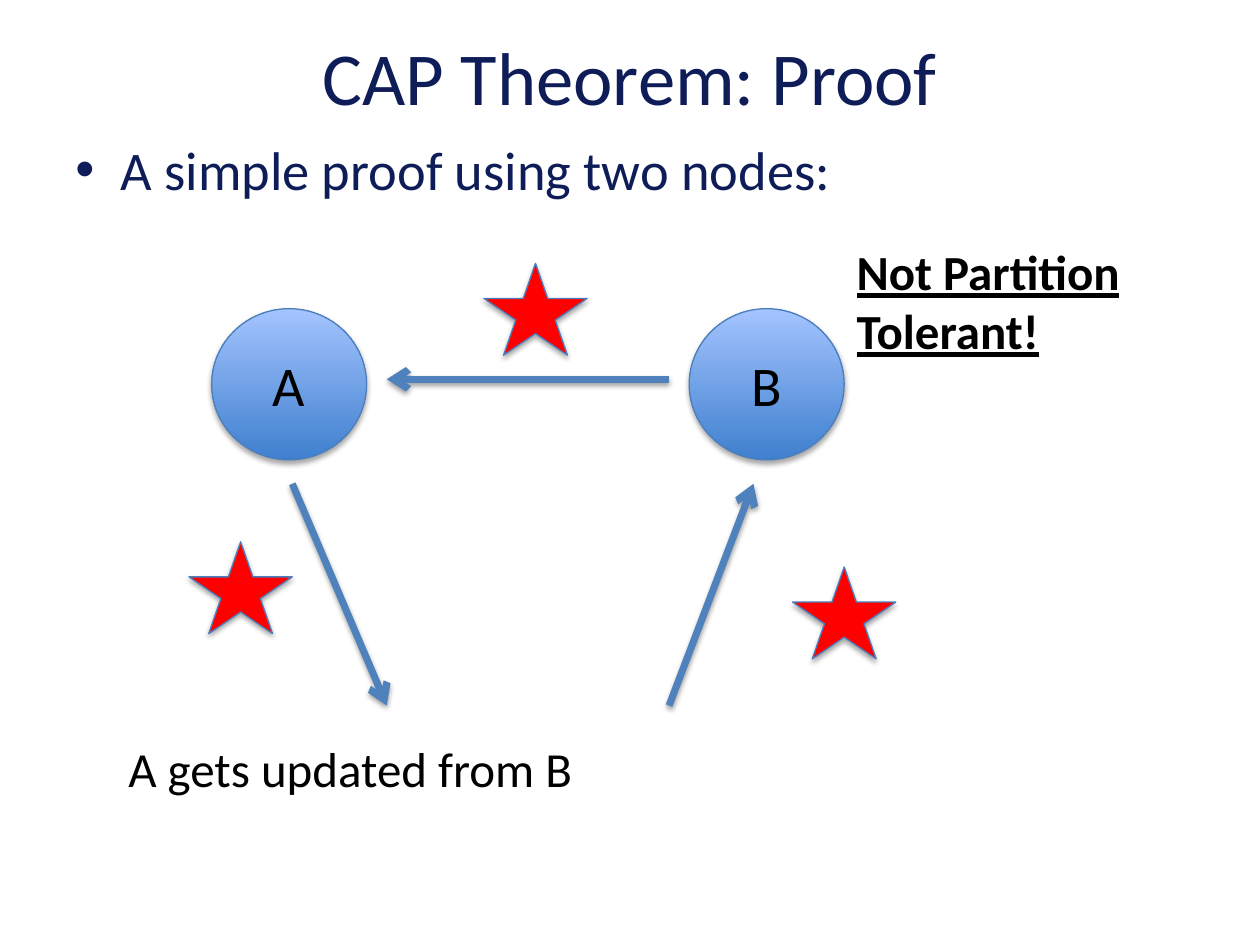
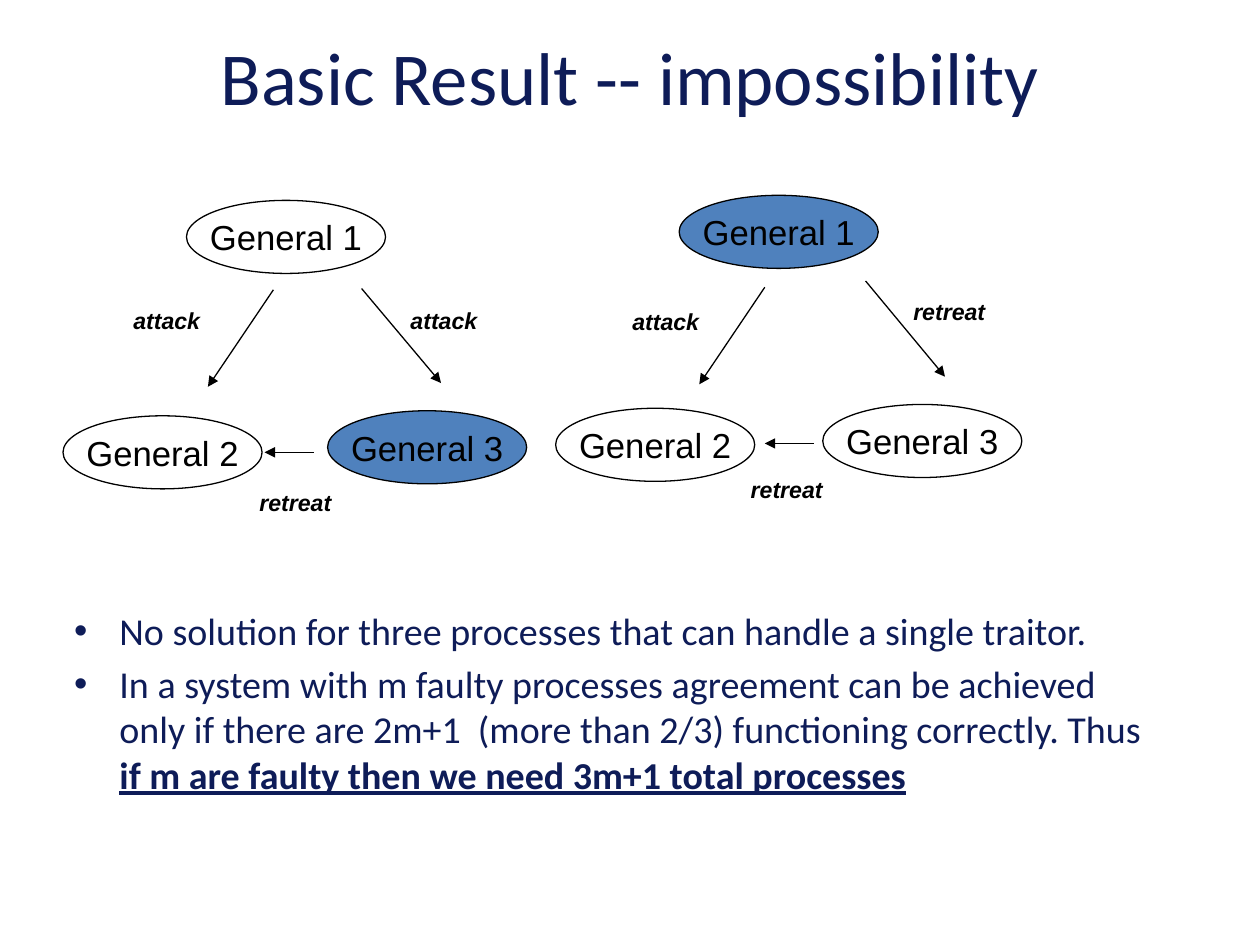
from lxml import etree
from pptx import Presentation
from pptx.dml.color import RGBColor
from pptx.enum.shapes import MSO_CONNECTOR as CONN, MSO_SHAPE as SHAPE
from pptx.enum.text import MSO_ANCHOR as ANCHOR, PP_ALIGN as ALIGN
from pptx.oxml.ns import qn
from pptx.util import Inches, Pt

COLORS = {
    "navy": "0E1C58",
    "black": "000000",
    "blue": "4F81BD",
    "outline": "4B7EBC",
    "node_low": "3F80CE",
    "node_high": "A4C4FF",
    "red": "FF0000",
}
HEAD_FONT, LABEL_FONT = "Calibri", "Arial"


def rgb(name):
    return RGBColor.from_string(COLORS[name])


def add_effects(sp, opacity=None, dist=1.8):
    """Replace the theme's effects by a downward shadow, or by none."""
    effects = etree.SubElement(sp._element.spPr, qn("a:effectLst"))
    if opacity is None:
        return
    shadow = etree.SubElement(effects, qn("a:outerShdw"), blurRad=str(Pt(3.1)),
                              dist=str(Pt(dist)), dir="5400000", rotWithShape="0")
    color = etree.SubElement(shadow, qn("a:srgbClr"), val=COLORS["black"])
    etree.SubElement(color, qn("a:alpha"), val=str(opacity * 1000))


class Deck:
    def __init__(self):
        self.prs = Presentation()
        self.prs.slide_width, self.prs.slide_height = Inches(10), Inches(7.5)
        self.s = None

    def slide(self, title):
        self.s = self.prs.slides.add_slide(self.prs.slide_layouts[6])
        tf = self.text((0.5, 0.17, 9, 0.86), title, 42.7, "navy")
        tf.vertical_anchor = ANCHOR.MIDDLE
        tf.paragraphs[0].alignment = ALIGN.CENTER

    def style(self, p, size, color="black", font=HEAD_FONT, **flags):
        p.font.size, p.font.name = Pt(size), font
        p.font.color.rgb = rgb(color)
        for flag, value in flags.items():
            setattr(p.font, flag, value)

    def text(self, box, text, size, color="black", font=HEAD_FONT, **flags):
        tf = self.s.shapes.add_textbox(*map(Inches, box)).text_frame
        tf.word_wrap = True
        tf.text = text
        self.style(tf.paragraphs[0], size, color, font, **flags)
        return tf

    def bullets(self, box, items, size):
        """Each item is a pair: plain text and an emphasised ending."""
        tf = self.s.shapes.add_textbox(*map(Inches, box)).text_frame
        tf.word_wrap = True
        for i, (plain, strong) in enumerate(items):
            p = tf.add_paragraph() if i else tf.paragraphs[0]
            self.style(p, size, "navy")
            p.space_before = Pt(0.2 * size)
            pPr = p._p.get_or_add_pPr()
            pPr.set("marL", str(Inches(0.36)))
            pPr.set("indent", str(Inches(-0.36)))
            bullet_font = etree.Element(qn("a:buFont"), typeface="Arial")
            bullet = etree.Element(qn("a:buChar"), char="•")
            pPr.find(qn("a:defRPr")).addprevious(bullet_font)
            bullet_font.addnext(bullet)
            p.add_run().text = plain
            if strong:
                r = p.add_run()
                r.text = strong
                r.font.bold = r.font.underline = True

    def shape(self, kind, box, fill=None, line="outline"):
        sp = self.s.shapes.add_shape(kind, *map(Inches, box))
        if fill == "gradient":
            sp.fill.gradient()
            sp.fill.gradient_angle = 90
            for stop, color in zip(sp.fill.gradient_stops, ("node_low", "node_high")):
                stop.color.rgb = rgb(color)
        elif fill:
            sp.fill.solid()
            sp.fill.fore_color.rgb = rgb(fill)
        else:
            sp.fill.background()
        sp.line.color.rgb = rgb(line)
        sp.line.width = Pt(0.75)
        return sp

    def caption(self, sp, text, size, font=HEAD_FONT):
        tf = sp.text_frame
        tf.text = text
        tf.word_wrap = False
        tf.vertical_anchor = ANCHOR.MIDDLE
        tf.paragraphs[0].alignment = ALIGN.CENTER
        self.style(tf.paragraphs[0], size, font=font)

    def node(self, name, x, y):
        sp = self.shape(SHAPE.OVAL, (x, y, 1.23, 1.2), "gradient")
        add_effects(sp, 35)
        self.caption(sp, name, 32)

    def star(self, x, y):
        add_effects(self.shape(SHAPE.STAR_5_POINT, (x, y, 0.82, 0.73), "red"), 35)

    def general(self, number, x, y, traitor):
        sp = self.shape(SHAPE.OVAL, (x, y, 1.58, 0.58), "blue" if traitor else None, "black")
        add_effects(sp)
        self.caption(sp, f"General {number}", 19.8, LABEL_FONT)

    def arrow(self, start, end, color="black", width=0.75, head="triangle", opacity=None):
        line = self.s.shapes.add_connector(CONN.STRAIGHT, *map(Inches, start + end))
        line.line.color.rgb = rgb(color)
        line.line.width = Pt(width)
        etree.SubElement(line.line._get_or_add_ln(), qn("a:tailEnd"), type=head)
        add_effects(line, opacity, 1.6)

    def message(self, text, x, y):
        self.text((x, y, 1.1, 0.32), text, 13.2, font=LABEL_FONT, bold=True, italic=True)


def cap_proof(deck):
    deck.slide("CAP Theorem: Proof")
    deck.bullets((0.5, 1.03, 8.04, 0.91), [("A simple proof using two nodes:", "")], 31.1)
    for name, x in (("A", 1.68), ("B", 5.47)):
        deck.node(name, x, 2.45)
    for start, end in (((5.31, 5.6), (5.98, 3.84)),
                       ((2.32, 3.84), (3.07, 5.6)),
                       ((5.31, 3.01), (3.07, 3.01))):
        deck.arrow(start, end, "blue", 4, "arrow", 38)
    for x, y in ((6.29, 4.5), (1.5, 4.3), (3.84, 2.09)):
        deck.star(x, y)
    deck.text((6.7, 1.87, 3.08, 1.04), "Not Partition Tolerant!", 28,
              bold=True, underline=True)
    deck.text((0.92, 5.81, 3.98, 0.57), "A gets updated from B", 28)


# Per scenario: traitor, places of generals 1 to 3, arrows, messages
SCENARIOS = [
    (3, [(1.48, 1.59), (0.5, 3.3), (2.6, 3.26)],
     [((2.17, 2.3), (1.65, 3.07)), ((2.87, 2.29), (3.5, 3.04)), ((2.49, 3.59), (2.1, 3.59))],
     [("attack", 0.96, 2.38), ("attack", 3.16, 2.38), ("retreat", 1.96, 3.83)]),
    (1, [(5.39, 1.55), (4.41, 3.24), (6.53, 3.21)],
     [((6.07, 2.28), (5.55, 3.05)), ((6.87, 2.23), (7.5, 2.99)), ((6.46, 3.52), (6.07, 3.52))],
     [("attack", 4.92, 2.39), ("retreat", 7.15, 2.31), ("retreat", 5.86, 3.72)]),
]


def impossibility(deck):
    deck.slide("Basic Result -- impossibility")
    deck.bullets((0.49, 4.77, 8.87, 1.53), [
        ("No solution for three processes that can handle a single traitor.", ""),
        ("In a system with m faulty processes agreement can be achieved only if there are "
         "2m+1  (more than 2/3) functioning correctly. Thus ",
         "if m are faulty then we need 3m+1 total processes"),
    ], 21.7)
    for traitor, places, arrows, messages in SCENARIOS:
        for number, (x, y) in enumerate(places, 1):
            deck.general(number, x, y, number == traitor)
        for start, end in arrows:
            deck.arrow(start, end)
        for text, x, y in messages:
            deck.message(text, x, y)


def main():
    deck = Deck()
    cap_proof(deck)
    impossibility(deck)
    deck.prs.save("out.pptx")


if __name__ == "__main__":
    main()
